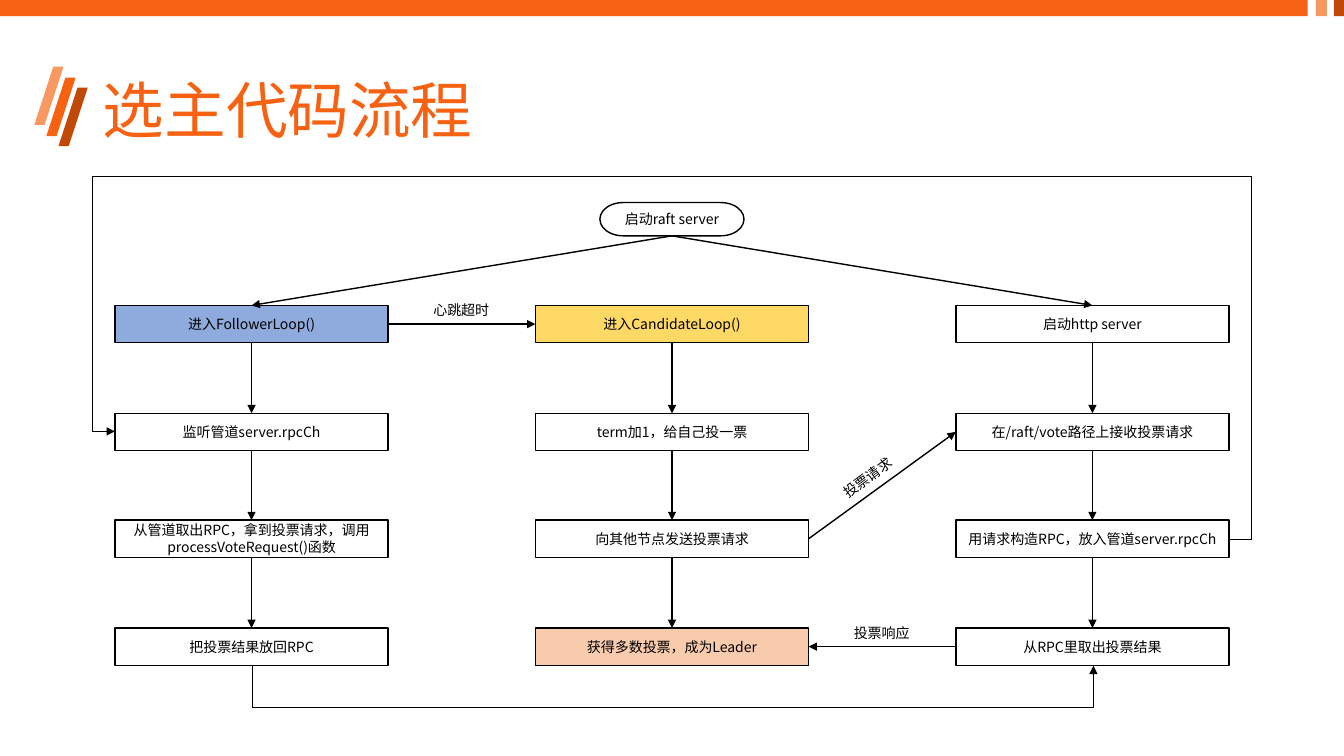
import pptx
import pptx.util
import pptx.dml.color
import pptx.enum.shapes
import pptx.enum.text
import pptx.oxml
import pptx.oxml.ns

RGBColor = pptx.dml.color.RGBColor
SHAPE = pptx.enum.shapes.MSO_SHAPE
CONNECTOR = pptx.enum.shapes.MSO_CONNECTOR
ALIGN = pptx.enum.text.PP_ALIGN
ANCHOR = pptx.enum.text.MSO_ANCHOR
qn = pptx.oxml.ns.qn

ORANGE = RGBColor(0xF7, 0x62, 0x12)
LIGHT_ORANGE = RGBColor(0xFA, 0x98, 0x62)
DARK_ORANGE = RGBColor(0xC1, 0x49, 0x07)
BLUE = RGBColor(0x8F, 0xAA, 0xDC)
YELLOW = RGBColor(0xFF, 0xD9, 0x66)
PEACH = RGBColor(0xF8, 0xCB, 0xAD)
WHITE = RGBColor(0xFF, 0xFF, 0xFF)
BLACK = RGBColor(0, 0, 0)

TOP, LEFT, BOTTOM, RIGHT = range(4)
BOX_W, BOX_H = 271, 37
COLUMNS = [114 + 417 * i for i in range(3)]
ROWS = [round(303 + 320 * i / 3) for i in range(4)]


def px(*lengths):
    """Turn px, at 100 to the inch, into EMU."""
    return [pptx.util.Emu(9144 * n) for n in lengths]


class Diagram:
    font = "Noto Sans CJK SC"

    def __init__(self, slide):
        self.slide = slide
        self.shapes = slide.shapes

    def set_text(self, shape, text, size=10, color=BLACK, align=ALIGN.CENTER):
        tf = shape.text_frame
        tf.text = text
        tf.vertical_anchor = ANCHOR.MIDDLE
        p = tf.paragraphs[0]
        p.alignment = align
        r = p.runs[0]
        r.font.name = self.font
        r.font.size = pptx.util.Pt(size)
        r.font.color.rgb = color
        ea = pptx.oxml.parse_xml(
            f'<a:ea {pptx.oxml.ns.nsdecls("a")} typeface="{self.font}"/>')
        r.font._element.find(qn("a:latin")).addnext(ea)

    def title(self, text, *box):
        s = self.shapes.title
        s.left, s.top, s.width, s.height = px(*box)
        self.set_text(s, text, 44, ORANGE, ALIGN.LEFT)
        s.text_frame.paragraphs[0].line_spacing = 0.9

    def shape(self, kind, fill, *box):
        s = self.shapes.add_shape(kind, *px(*box))
        s.shadow.inherit = False
        s.fill.solid()
        s.fill.fore_color.rgb = fill
        s.line.fill.background()
        return s

    def node(self, text, x, y, w=BOX_W, h=BOX_H, fill=WHITE, kind=SHAPE.RECTANGLE):
        s = self.shape(kind, fill, x, y, w, h)
        s.line.color.rgb = BLACK
        s.line.width = pptx.util.Pt(1)
        s.text_frame.word_wrap = True
        self.set_text(s, text)
        return s

    def label(self, text, x, y, rotation=0):
        s = self.shapes.add_textbox(*px(x, y, 76, 27))
        s.text_frame.word_wrap = False
        s.text_frame.auto_size = pptx.enum.text.MSO_AUTO_SIZE.SHAPE_TO_FIT_TEXT
        self.set_text(s, text, align=ALIGN.LEFT)
        s.rotation = rotation

    def line(self, kind, *ends):
        c = self.shapes.add_connector(kind, *px(*ends))
        c.line.color.rgb = BLACK
        c.line.width = pptx.util.Pt(1)
        ns = pptx.oxml.ns.nsdecls("a")
        c.line._get_or_add_ln().append(
            pptx.oxml.parse_xml(f'<a:tailEnd {ns} type="triangle"/>'))
        c._element.spPr.append(pptx.oxml.parse_xml(f"<a:effectLst {ns}/>"))
        return c

    def arrow(self, start, start_side, end, end_side):
        c = self.line(CONNECTOR.STRAIGHT, 0, 0, 0, 0)
        c.begin_connect(start, start_side)
        c.end_connect(end, end_side)

    def elbow(self, ends, preset, adjustments, rotation=0):
        """Draw a bent arrow; adjustments are shares of its width or height."""
        c = self.line(CONNECTOR.ELBOW, *ends)
        spPr = c._element.spPr
        spPr.find(qn("a:xfrm")).set("rot", str(rotation * 60000))
        geom = spPr.find(qn("a:prstGeom"))
        geom.set("prst", preset)
        guides = geom.find(qn("a:avLst"))
        for i, share in enumerate(adjustments, 1):
            guides.append(pptx.oxml.parse_xml(
                f'<a:gd {pptx.oxml.ns.nsdecls("a")} name="adj{i}" '
                f'fmla="val {round(share * 100000)}"/>'))


def main():
    prs = pptx.Presentation()
    prs.slide_width, prs.slide_height = px(1333, 750)
    d = Diagram(prs.slides.add_slide(prs.slide_layouts[5]))

    for x, y, fill in [(46, 77, ORANGE), (34, 66, LIGHT_ORANGE), (58, 87, DARK_ORANGE)]:
        d.shape(SHAPE.PARALLELOGRAM, fill, x, y, 29, 58).adjustments[0] = 0.65
    for x, w, fill in [(0, 1297, ORANGE), (1305, 11, LIGHT_ORANGE),
                       (1323, 10, DARK_ORANGE)]:
        d.shape(SHAPE.RECTANGLE, fill, x, 0, w, 16)
    d.title("选主代码流程", 92, 40, 1150, 145)

    start = d.node("启动raft server", 595, 201, 143, 33,
                   kind=SHAPE.FLOWCHART_TERMINATOR)
    steps = [
        [("进入FollowerLoop()", BLUE), ("监听管道server.rpcCh", WHITE),
         ("从管道取出RPC，拿到投票请求，调用processVoteRequest()函数", WHITE),
         ("把投票结果放回RPC", WHITE)],
        [("进入CandidateLoop()", YELLOW), ("term加1，给自己投一票", WHITE),
         ("向其他节点发送投票请求", WHITE), ("获得多数投票，成为Leader", PEACH)],
        [("启动http server", WHITE), ("在/raft/vote路径上接收投票请求", WHITE),
         ("用请求构造RPC，放入管道server.rpcCh", WHITE),
         ("从RPC里取出投票结果", WHITE)],
    ]
    follower, candidate, http = [
        [d.node(text, x, y, fill=fill) for y, (text, fill) in zip(ROWS, column)]
        for x, column in zip(COLUMNS, steps)]

    for column in (follower, candidate, http):
        for upper, lower in zip(column, column[1:]):
            d.arrow(upper, BOTTOM, lower, TOP)
    for column in (follower, http):
        d.arrow(start, BOTTOM, column[0], TOP)
    d.arrow(follower[0], RIGHT, candidate[0], LEFT)
    d.arrow(candidate[2], RIGHT, http[1], LEFT)
    d.arrow(http[3], LEFT, candidate[3], RIGHT)

    # Result back to the http column, running below the last row
    d.elbow((668, 243, 667, 1077), "bentConnector3", [43], rotation=270)
    # Request into the follower's channel, running around the top
    d.elbow((1219, 535, 114, 428), "bentConnector5", [-0.02, 3.36, 1.02])

    d.label("心跳超时", 420, 294)
    d.label("投票请求", 823, 460, rotation=323.4)
    d.label("投票响应", 837, 614)
    prs.save("out.pptx")


if __name__ == "__main__":
    main()
